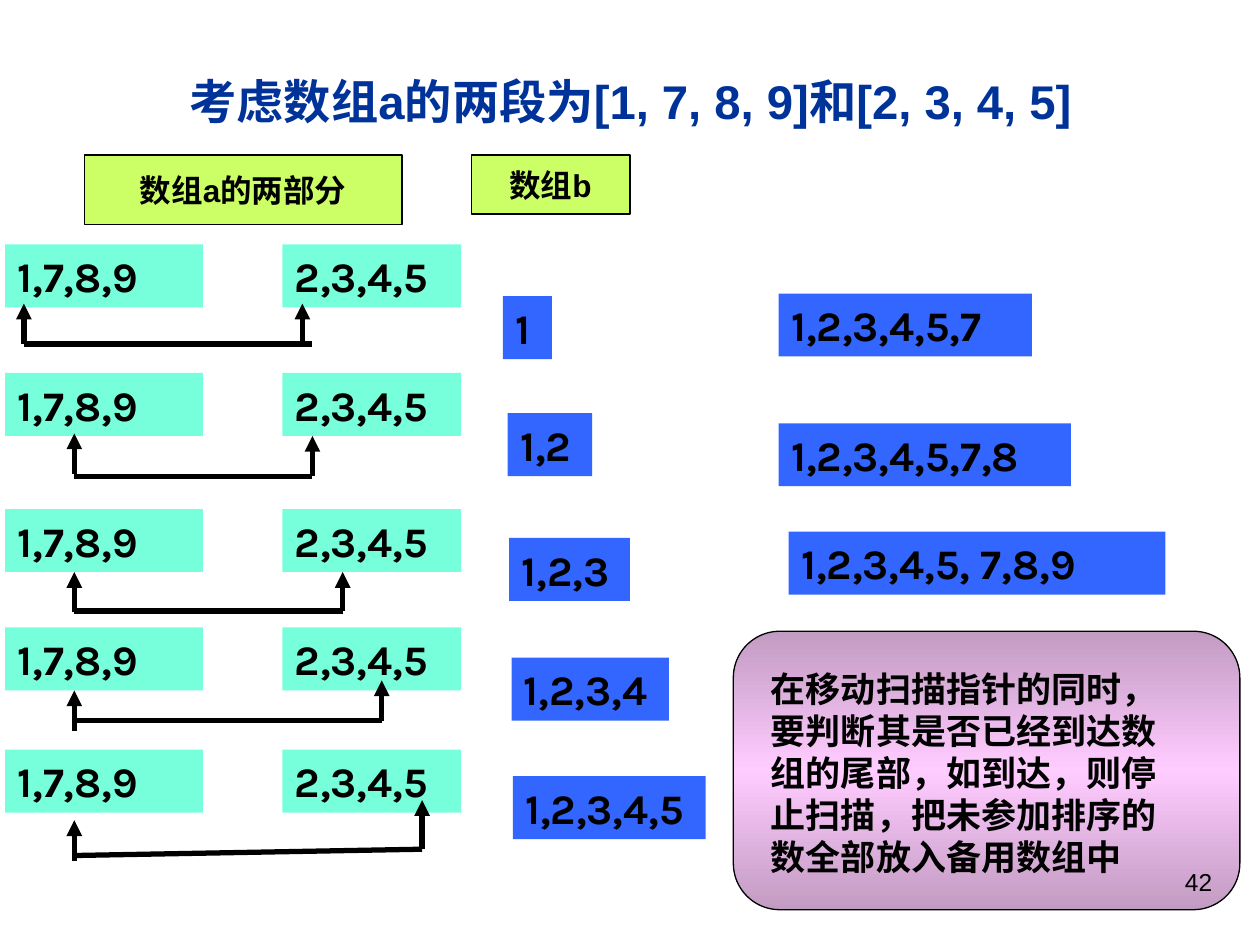
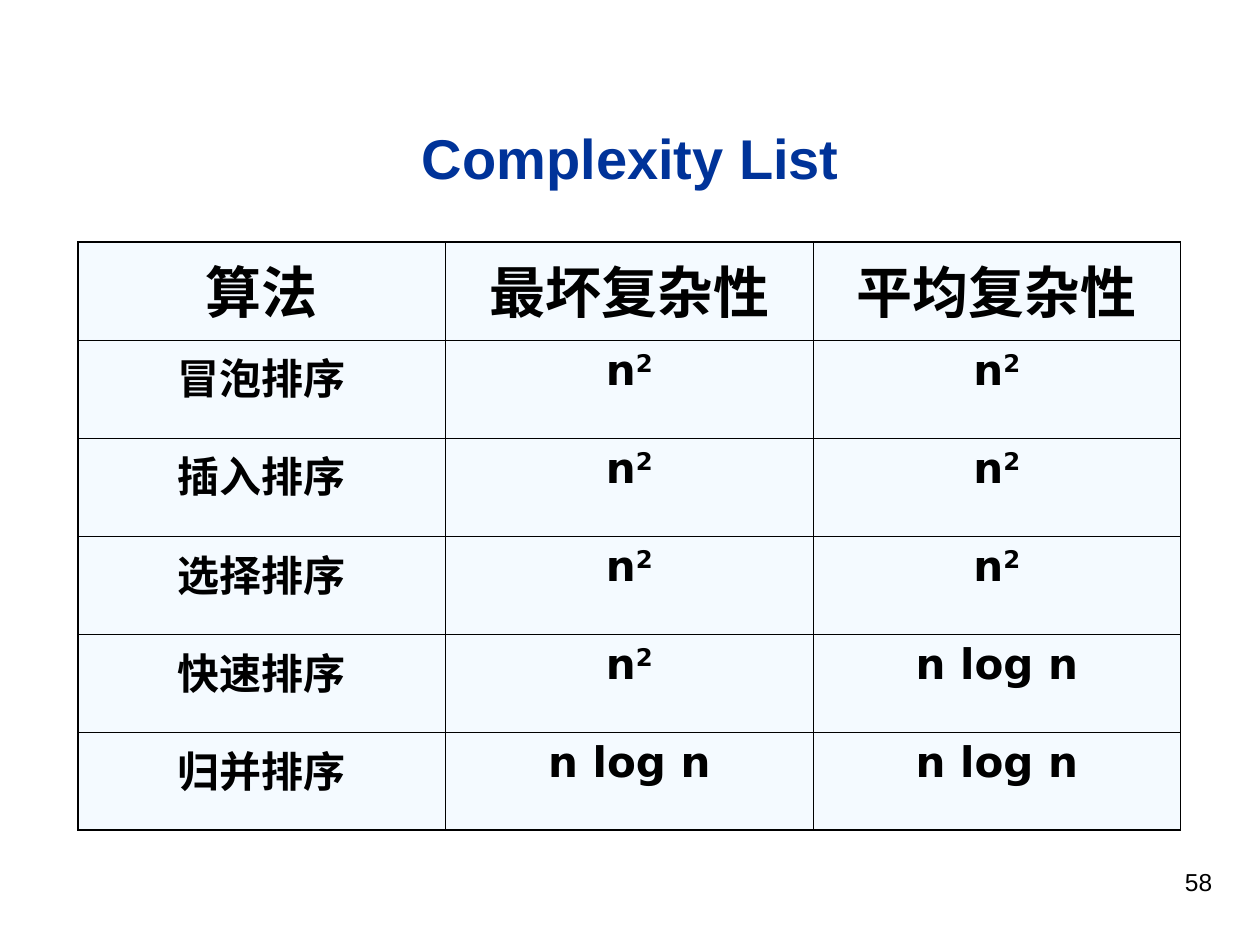
from copy import deepcopy

from lxml import etree
from pptx import Presentation
from pptx.dml.color import RGBColor
from pptx.enum import shapes, text
from pptx.oxml.ns import qn
from pptx.util import Inches, Pt

BLACK = RGBColor(0x00, 0x00, 0x00)
NAVY = RGBColor(0x00, 0x33, 0x99)
AQUA = RGBColor(0x77, 0xFF, 0xDB)
BLUE = RGBColor(0x33, 0x66, 0xFF)
LIME = RGBColor(0xCC, 0xFF, 0x66)
PINK = RGBColor(0xFF, 0xCC, 0xFF)
MAUVE = RGBColor(0xC2, 0x9B, 0xC2)
ICE = RGBColor(0xEB, 0xF7, 0xFF)

SANS, DIGITS, TABLE_FONT = "Arial", "Karla", "DejaVu Sans"
LEFT, CENTER, RIGHT = text.PP_ALIGN.LEFT, text.PP_ALIGN.CENTER, text.PP_ALIGN.RIGHT
TOP, MIDDLE = text.MSO_ANCHOR.TOP, text.MSO_ANCHOR.MIDDLE
THIN, THICK = 0.45, 1.08


class Deck:
    def __init__(self):
        self.prs = Presentation()
        self.prs.slide_width, self.prs.slide_height = Inches(10), Inches(7.5)
        self.slide = None

    def new_slide(self, title, top, height, size):
        self.slide = self.prs.slides.add_slide(self.prs.slide_layouts[6])
        self.label(title, (0.63, top, 8.75, height), size,
                   color=NAVY, align=CENTER, anchor=MIDDLE)

    def style(self, paragraph, size, font=SANS, color=BLACK, bold=True, align=LEFT):
        paragraph.alignment = align
        paragraph.font.size = Pt(size)
        paragraph.font.name = font
        paragraph.font.bold = bold
        paragraph.font.color.rgb = color

    def fill_frame(self, frame, words, size, anchor=TOP, wrap=True, **look):
        frame.word_wrap = wrap
        frame.vertical_anchor = anchor
        frame.margin_left = frame.margin_right = Inches(0.1)
        frame.margin_top = frame.margin_bottom = Inches(0.05)
        frame.text = words
        self.style(frame.paragraphs[0], size, **look)

    def label(self, words, area, size, **look):
        holder = self.slide.shapes.add_textbox(*map(Inches, area))
        self.fill_frame(holder.text_frame, words, size, **look)

    def panel(self, area, preset=shapes.MSO_SHAPE.RECTANGLE, fill=None, outlined=False):
        panel = self.slide.shapes.add_shape(preset, *map(Inches, area))
        panel.shadow.inherit = False
        if fill is not None:
            panel.fill.solid()
            panel.fill.fore_color.rgb = fill
        if outlined:
            panel.line.color.rgb = BLACK
            panel.line.width = Pt(0.75)
        else:
            panel.line.fill.background()
        return panel

    def numbers(self, words, left, top, width, fill=BLUE, wrap=True):
        box = self.panel((left, top, width, 0.5), fill=fill)
        self.fill_frame(box.text_frame, words, 24, font=DIGITS, wrap=wrap)

    def heading(self, words, area):
        box = self.panel(area, fill=LIME, outlined=True)
        self.fill_frame(box.text_frame, words, 18, anchor=MIDDLE, wrap=False, align=CENTER)

    def glow_panel(self, area, colors):
        panel = self.panel(area, shapes.MSO_SHAPE.FLOWCHART_ALTERNATE_PROCESS, outlined=True)
        panel.fill.gradient()
        panel.fill.gradient_angle = 270
        stops = panel._element.spPr.find(".//" + qn("a:gsLst"))
        stops.append(deepcopy(stops[0]))
        for i, (stop, color) in enumerate(zip(panel.fill.gradient_stops, colors)):
            stop.position = i / (len(colors) - 1)
            stop.color.rgb = color

    def line(self, start, end, arrow=False):
        line = self.slide.shapes.add_connector(
            shapes.MSO_CONNECTOR.STRAIGHT, *map(Inches, (*start, *end)))
        line.line.color.rgb = BLACK
        line.line.width = Pt(3)
        if arrow:
            etree.SubElement(line.line._get_or_add_ln(), qn("a:tailEnd"), type="triangle")
        etree.SubElement(line._element.spPr, qn("a:effectLst"))

    def page_number(self, number):
        self.label(str(number), (7.22, 6.83, 2.5, 0.52), 14, bold=False, align=RIGHT)

    def borders(self, cell, widths):
        props = cell._tc.get_or_add_tcPr()
        for side, width in zip("LRTB", widths):
            edge = etree.SubElement(props, qn(f"a:ln{side}"), w=str(int(Pt(width))))
            ink = etree.SubElement(edge, qn("a:solidFill"))
            etree.SubElement(ink, qn("a:srgbClr"), val=str(BLACK))

    def table(self, rows, area):
        count, columns = len(rows), len(rows[0])
        grid = self.slide.shapes.add_table(count, columns, *map(Inches, area)).table
        grid.first_row = grid.horz_banding = False
        for r, row in enumerate(rows):
            for c, words in enumerate(row):
                cell = grid.cell(r, c)
                outer = (c == 0, c == columns - 1, r == 0, r == count - 1)
                self.borders(cell, [THICK if edge else THIN for edge in outer])
                cell.fill.solid()
                cell.fill.fore_color.rgb = ICE
                tint = cell._tc.tcPr.find(qn("a:solidFill"))[0]
                etree.SubElement(tint, qn("a:alpha"), val="50000")
                base, _, power = words.partition("^")
                paragraph = cell.text_frame.paragraphs[0]
                paragraph.add_run().text = base
                if power:
                    raised = paragraph.add_run()
                    raised.text = power
                    raised._r.get_or_add_rPr().set("baseline", "30000")
                self.style(paragraph, 24 if r else 32, font=TABLE_FONT, align=CENTER)


def merge_slide(deck):
    deck.new_slide("考虑数组a的两段为[1, 7, 8, 9]和[2, 3, 4, 5]", 0.5, 0.59, 27)
    deck.heading("数组a的两部分", (0.67, 1.23, 2.52, 0.55))
    deck.heading("数组b", (3.74, 1.23, 1.26, 0.47))

    scans = [
        (1.94, (0.19, 2.41), (2.4, 2.41), (0.19, 2.73), (2.48, 2.73)),
        (2.96, (0.59, 3.44), (2.48, 3.46), (0.59, 3.78), (2.48, 3.78)),
        (4.04, (0.59, 4.54), (2.72, 4.54), (0.59, 4.85), (2.72, 4.85)),
        (4.98, (0.59, 5.48), (3.03, 5.4), (0.59, 5.72), (3.03, 5.72)),
        (5.95, (0.59, 6.51), (3.35, 6.35), (0.59, 6.79), (3.35, 6.74)),
    ]
    for top, left_tip, right_tip, base_start, base_end in scans:
        deck.numbers("1,7,8,9", 0.04, top, 1.57, AQUA)
        deck.numbers("2,3,4,5", 2.24, top, 1.42, AQUA)
        deck.line((left_tip[0], left_tip[1] + 0.32), left_tip, arrow=True)
        deck.line(base_start, base_end)
        deck.line((right_tip[0], base_end[1]), right_tip, arrow=True)

    merged = [(3.99, 2.35, 0.39), (4.03, 3.28, 0.67), (4.04, 4.27, 0.96),
              (4.06, 5.22, 1.25), (4.07, 6.16, 1.53)]
    for last, place in enumerate(merged, 1):
        deck.numbers(",".join(map(str, range(1, last + 1))), *place, wrap=False)

    deck.numbers("1,2,3,4,5,7", 6.18, 2.33, 2.01)
    deck.numbers("1,2,3,4,5,7,8", 6.18, 3.36, 2.32)
    deck.numbers("1,2,3,4,5, 7,8,9", 6.26, 4.22, 2.99)

    deck.glow_panel((5.82, 5.01, 4.02, 2.21), (MAUVE, PINK, MAUVE))
    deck.label("在移动扫描指针的同时，要判断其是否已经到达数组的尾部，如到达，"
               "则停止扫描，把未参加排序的数全部放入备用数组中", (6.02, 5.25, 3.46, 1.77), 20)
    deck.page_number(42)


def complexity_slide(deck):
    deck.new_slide("Complexity List", 0.83, 0.83, 32)
    deck.table([
        ("算法", "最坏复杂性", "平均复杂性"),
        ("冒泡排序", "n^2", "n^2"),
        ("插入排序", "n^2", "n^2"),
        ("选择排序", "n^2", "n^2"),
        ("快速排序", "n^2", "n log n"),
        ("归并排序", "n log n", "n log n"),
    ], (0.62, 1.92, 8.75, 4.67))
    deck.page_number(58)


def main():
    deck = Deck()
    merge_slide(deck)
    complexity_slide(deck)
    deck.prs.save("out.pptx")


if __name__ == "__main__":
    main()
